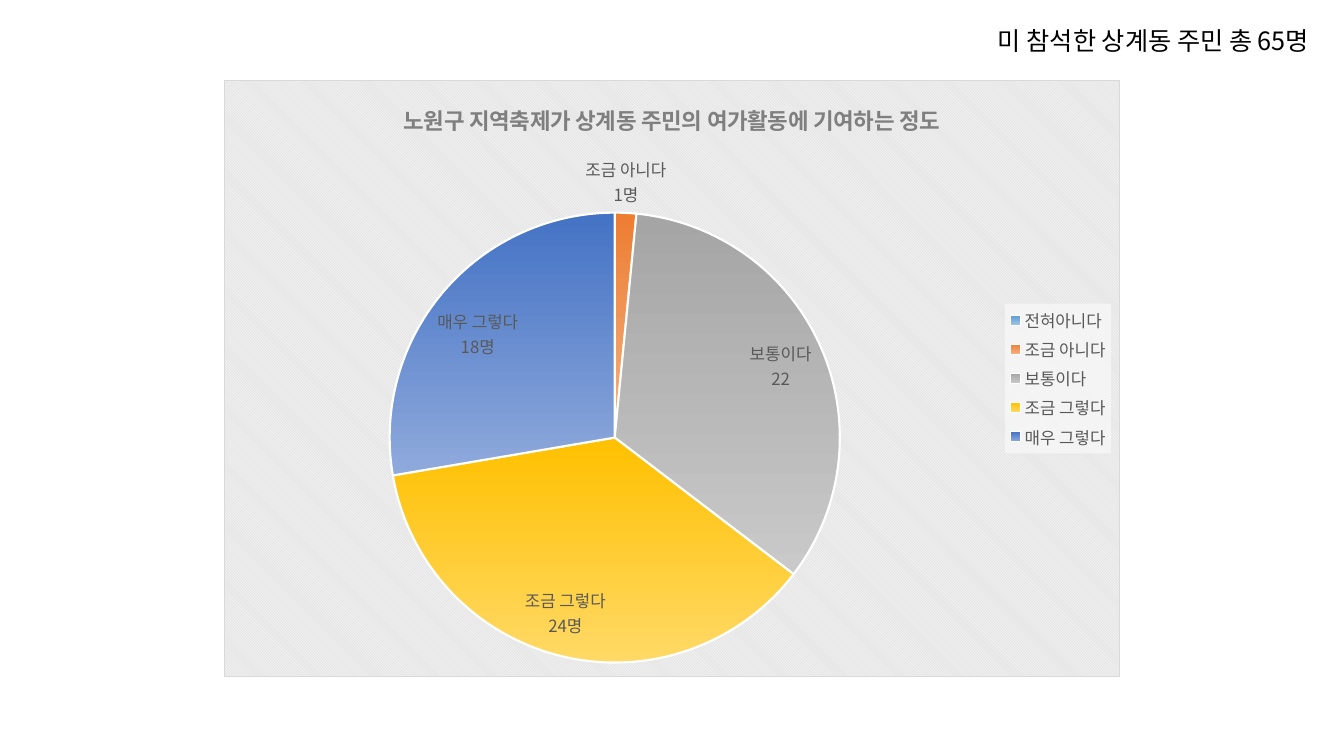
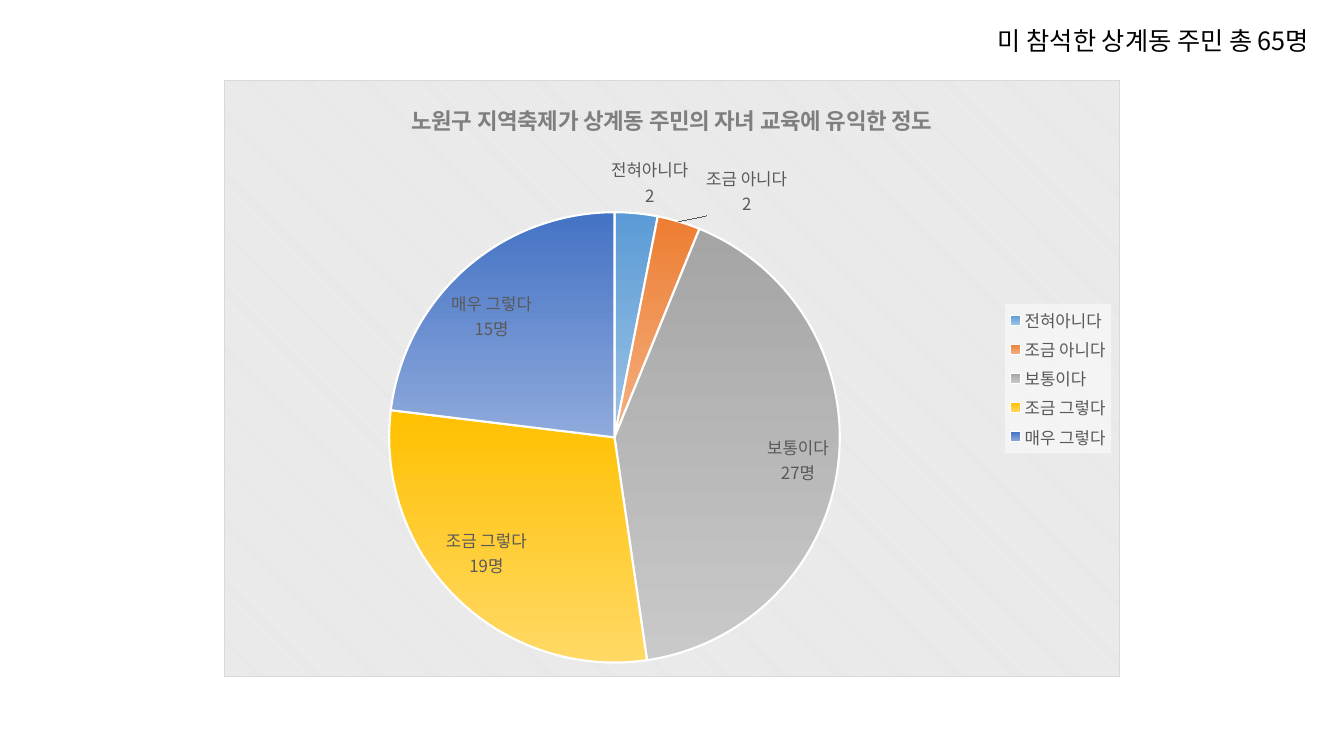
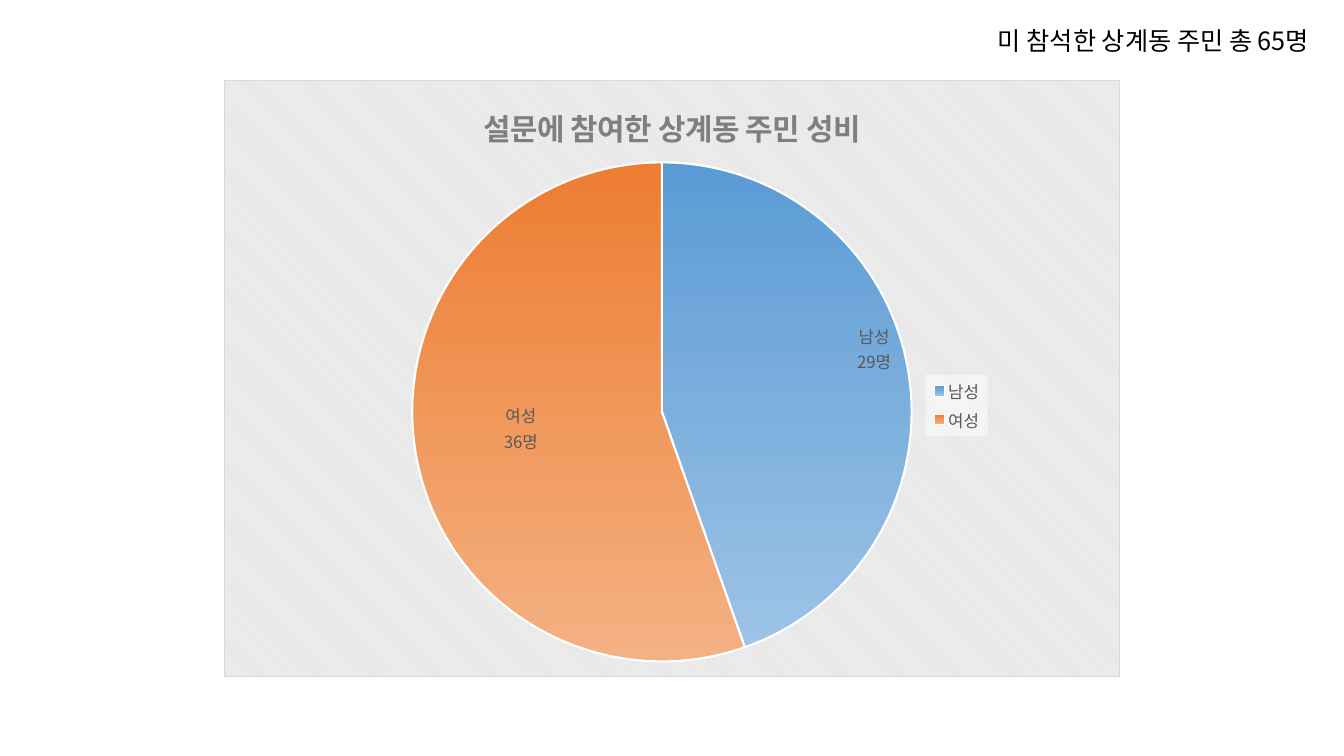
"""Builds three survey slides, each with a pie chart and a respondent count."""
from dataclasses import dataclass
from typing import Optional

from lxml import etree
from pptx import Presentation
from pptx.chart import data as chart_data
from pptx.dml.color import RGBColor
from pptx.enum import chart as chart_enum
from pptx.enum import text as text_enum
from pptx.oxml import ns, parse_xml
from pptx.util import Emu, Pt

EMU_PER_PIXEL = 914400 / 100.8
SLIDE_SIZE = (1344, 756)
CHART_BOX = (224, 80, 896, 597)
COUNT_BOX = (988, 20, 373, 40)
FONT = "Noto Sans CJK KR"
COUNT_TEXT = "미 참석한 상계동 주민 총 65명"
BLACK, WHITE, LABEL_GRAY, TITLE_GRAY = "000000", "FFFFFF", "595959", "7F7F7F"
GRADIENTS = (
    ("5B9BD5", "9DC3E6"),
    ("ED7D31", "F4B183"),
    ("A5A5A5", "C9C9C9"),
    ("FFC000", "FFD966"),
    ("4472C4", "8FAADC"),
)
ANSWERS = ("전혀아니다", "조금 아니다", "보통이다", "조금 그렇다", "매우 그렇다")
NAMESPACES = ns.nsdecls("c", "a")
CHART_FILL = f"""<c:spPr {NAMESPACES}>
<a:pattFill prst="dkDnDiag"><a:fgClr><a:srgbClr val="FFFFFF"/></a:fgClr>
<a:bgClr><a:srgbClr val="E6E6E6"/></a:bgClr></a:pattFill>
<a:ln w="9525"><a:solidFill><a:srgbClr val="D9D9D9"/></a:solidFill></a:ln></c:spPr>"""
LEGEND_FILL = f"""<c:spPr {NAMESPACES}><a:solidFill><a:srgbClr val="FFFFFF">
<a:alpha val="50000"/></a:srgbClr></a:solidFill><a:ln><a:noFill/></a:ln></c:spPr>"""
LEADER_LINES = f"""<c:leaderLines {NAMESPACES}><c:spPr><a:ln w="9525"><a:solidFill>
<a:srgbClr val="A6A6A6"/></a:solidFill></a:ln></c:spPr></c:leaderLines>"""

Box = tuple[int, int, int, int]
Offset = tuple[int, int]


@dataclass(frozen=True)
class Survey:
    """One pie: its question, answers and the labels written by hand."""

    title: str
    title_size: float
    categories: tuple[str, ...]
    values: tuple[Optional[int], ...]
    counted: tuple[int, ...]
    label_position: chart_enum.XL_LABEL_POSITION = chart_enum.XL_LABEL_POSITION.BEST_FIT
    pie_box: Optional[Box] = None
    legend_box: Optional[Box] = None
    label_offsets: tuple[Offset, ...] = ()


SURVEYS = (
    Survey("노원구 지역축제가 상계동 주민의 여가활동에 기여하는 정도", 16,
           ANSWERS, (None, 1, 22, 24, 18), (1, 3, 4)),
    Survey("노원구 지역축제가 상계동 주민의 자녀 교육에 유익한 정도", 16,
           ANSWERS, (2, 2, 27, 19, 15), (2, 3, 4)),
    Survey("설문에 참여한 상계동 주민 성비", 21.3,
           ("남성", "여성"), (29, 36), (0, 1),
           chart_enum.XL_LABEL_POSITION.OUTSIDE_END,
           (188, 82, 500, 500), (702, 295, 62, 61), ((-57, 5), (128, -52))),
)


def pixels(length: float) -> Emu:
    """Turn pixels into EMU."""
    return Emu(round(length * EMU_PER_PIXEL))


def color(value: str) -> RGBColor:
    """Turn a hex string into a colour."""
    return RGBColor.from_string(value)


def style_font(font, size: float, value: str, bold: bool = False) -> None:
    """Set typeface, size, colour and weight."""
    font.name = FONT
    font.size = Pt(size)
    font.bold = bold
    font.color.rgb = color(value)


def add_east_asian_fonts(root) -> None:
    """Give Korean text the typeface already set for Latin text."""
    for latin in list(root.iter(ns.qn("a:latin"))):
        if latin.get("typeface") == FONT:
            east_asian = etree.Element(ns.qn("a:ea"), typeface=FONT)
            latin.addnext(east_asian)


def manual_layout(values: dict[str, float], inner: bool = False, edge: bool = True):
    """Build a layout element from fractions of the chart."""
    layout = etree.Element(ns.qn("c:layout"))
    manual = etree.SubElement(layout, ns.qn("c:manualLayout"))
    if inner:
        etree.SubElement(manual, ns.qn("c:layoutTarget"), val="inner")
    if edge:
        for mode in ("xMode", "yMode"):
            etree.SubElement(manual, ns.qn(f"c:{mode}"), val="edge")
    for key, value in values.items():
        etree.SubElement(manual, ns.qn(f"c:{key}"), val=f"{value:.4f}")
    return layout


def box_layout(box: Box, inner: bool = False):
    """Place a chart part at a pixel box inside the chart."""
    width, height = CHART_BOX[2:]
    fractions = (length / side for length, side in zip(box, (width, height) * 2))
    return manual_layout(dict(zip("xywh", fractions)), inner)


def replace_layout(parent, layout, before: str) -> None:
    """Put a layout in a chart part, ahead of the named child."""
    for old in parent.findall(ns.qn("c:layout")):
        parent.remove(old)
    parent.find(ns.qn(before)).addprevious(layout)


def style_points(series, survey: Survey) -> None:
    """Give each slice its gradient and white outline."""
    for index, stops in enumerate(GRADIENTS[:len(survey.categories)]):
        point_format = series.points[index].format
        point_format.fill.gradient()
        point_format.fill.gradient_angle = 270
        for stop, value in zip(point_format.fill.gradient_stops, stops):
            stop.color.rgb = color(value)
        point_format.line.color.rgb = color(WHITE)
        point_format.line.width = Pt(1.5)


def add_labels(chart, survey: Survey) -> None:
    """Label slices with their category and value."""
    series = chart.plots[0].series[0]
    labels = series.data_labels
    labels.show_category_name = True
    labels.show_value = True
    labels.position = survey.label_position
    style_font(labels.font, 12, LABEL_GRAY)
    for index in survey.counted:
        label = series.points[index].data_label
        frame = label.text_frame
        lines = (survey.categories[index], f"{survey.values[index]}명")
        for number, line in enumerate(lines):
            paragraph = frame.add_paragraph() if number else frame.paragraphs[0]
            run = paragraph.add_run()
            run.text = line
            style_font(run.font, 12, LABEL_GRAY)
        label.position = survey.label_position

    group = next(chart.element.iter(ns.qn("c:dLbls")))
    separator = etree.Element(ns.qn("c:separator"))
    separator.text = "\n"
    group.find(ns.qn("c:showBubbleSize")).addnext(separator)
    group.append(parse_xml(LEADER_LINES))
    for label, (left, top) in zip(group.findall(ns.qn("c:dLbl")), survey.label_offsets):
        shift = {"x": left / CHART_BOX[2], "y": top / CHART_BOX[3]}
        label.find(ns.qn("c:idx")).addnext(manual_layout(shift, edge=False))


def add_legend(chart, survey: Survey) -> None:
    """Add the translucent legend on the right."""
    chart.has_legend = True
    legend = chart.legend
    legend.position = chart_enum.XL_LEGEND_POSITION.RIGHT
    legend.include_in_layout = False
    style_font(legend.font, 12, LABEL_GRAY)
    element = chart.element.find(".//" + ns.qn("c:legend"))
    element.find(ns.qn("c:txPr")).addprevious(parse_xml(LEGEND_FILL))
    if survey.legend_box:
        replace_layout(element, box_layout(survey.legend_box), "c:overlay")


def add_pie(slide, survey: Survey) -> None:
    """Draw the survey's pie chart."""
    data = chart_data.CategoryChartData()
    data.categories = survey.categories
    data.add_series("Series 1", survey.values)
    frame = slide.shapes.add_chart(
        chart_enum.XL_CHART_TYPE.PIE, *map(pixels, CHART_BOX), data)
    chart = frame.chart
    style_font(chart.font, 10, BLACK)
    chart.has_title = True
    run = chart.chart_title.text_frame.paragraphs[0].add_run()
    run.text = survey.title
    style_font(run.font, survey.title_size, TITLE_GRAY, bold=True)
    style_points(chart.plots[0].series[0], survey)
    add_labels(chart, survey)
    add_legend(chart, survey)
    chart.element.find(ns.qn("c:chart")).addnext(parse_xml(CHART_FILL))
    if survey.pie_box:
        plot_area = chart.element.find(".//" + ns.qn("c:plotArea"))
        replace_layout(plot_area, box_layout(survey.pie_box, inner=True), "c:pieChart")
    add_east_asian_fonts(chart.element)


def add_count(slide) -> None:
    """Write the number of respondents at the top right."""
    frame = slide.shapes.add_textbox(*map(pixels, COUNT_BOX)).text_frame
    frame.word_wrap = False
    frame.auto_size = text_enum.MSO_AUTO_SIZE.SHAPE_TO_FIT_TEXT
    run = frame.paragraphs[0].add_run()
    run.text = COUNT_TEXT
    style_font(run.font, 18, BLACK)
    add_east_asian_fonts(slide.element)


def main() -> None:
    """Build and save the presentation."""
    presentation = Presentation()
    presentation.slide_width, presentation.slide_height = map(pixels, SLIDE_SIZE)
    for survey in SURVEYS:
        slide = presentation.slides.add_slide(presentation.slide_layouts[6])
        add_pie(slide, survey)
        add_count(slide)
    presentation.save("out.pptx")


main()
